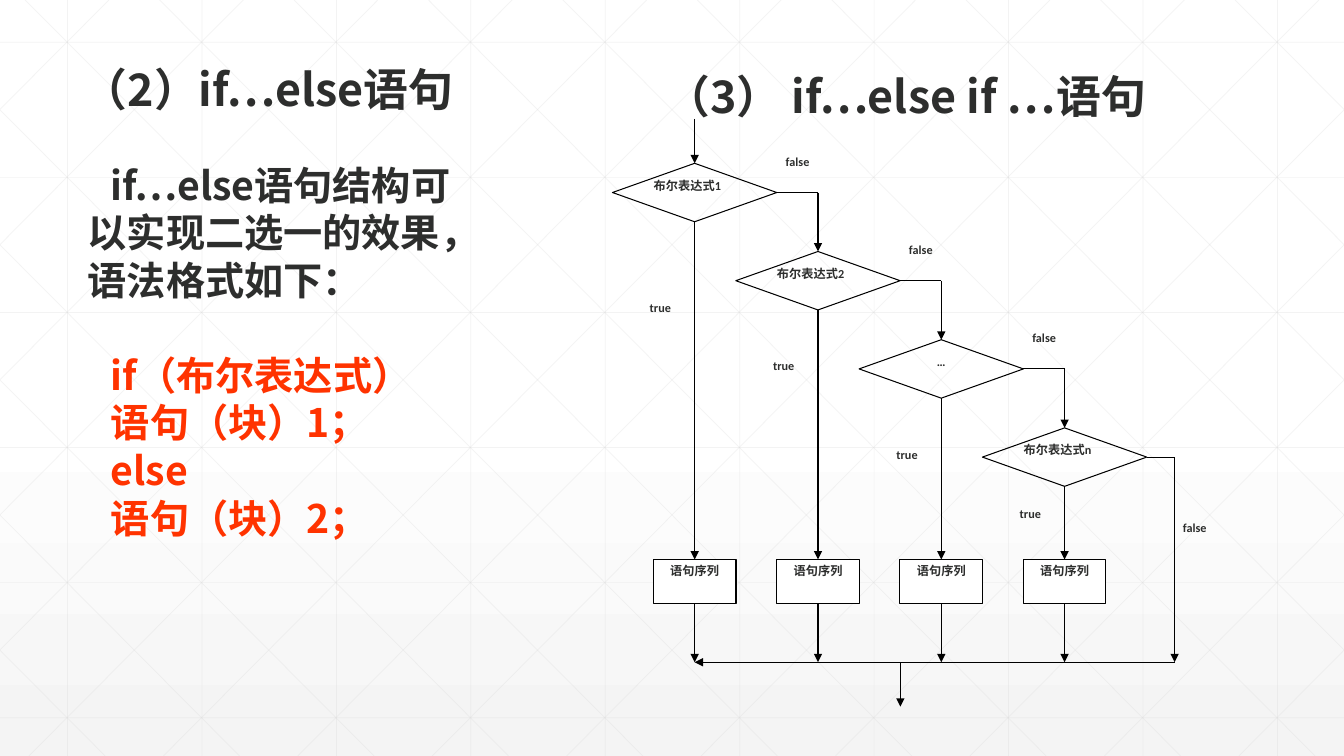
import pptx
import pptx.util
import pptx.dml.color
import pptx.enum.dml
import pptx.enum.shapes
import pptx.enum.text
import pptx.oxml
import pptx.oxml.ns
from lxml import etree

Inches, Pt = pptx.util.Inches, pptx.util.Pt
RGBColor = pptx.dml.color.RGBColor
ALIGN = pptx.enum.text.PP_ALIGN
ANCHOR = pptx.enum.text.MSO_ANCHOR
SHAPE = pptx.enum.shapes.MSO_SHAPE
qn = pptx.oxml.ns.qn

WHITE = RGBColor(0xFF, 0xFF, 0xFF)
PALE_GREY = RGBColor(0xF4, 0xF4, 0xF4)
GRID_GREY = RGBColor(0xD9, 0xD9, 0xD9)
BLACK = RGBColor(0x00, 0x00, 0x00)
INK = RGBColor(0x2D, 0x2E, 0x2D)
RED = RGBColor(0xFF, 0x33, 0x00)
CJK_FONT = "Noto Sans CJK SC"
WIDTH, HEIGHT = 13.33, 7.5


def add_line(start, end, color=BLACK, width=0.75, arrow=False, opacity=None):
    """Draw a straight line between two points given in inches."""
    line = slide.shapes.add_connector(
        pptx.enum.shapes.MSO_CONNECTOR.STRAIGHT,
        Inches(start[0]), Inches(start[1]), Inches(end[0]), Inches(end[1]))
    line.line.color.rgb = color
    line.line.width = Pt(width)
    outline = line.line._get_or_add_ln()
    if opacity:
        tint = outline.find(".//" + qn("a:srgbClr"))
        etree.SubElement(tint, qn("a:alpha")).set("val", str(opacity * 1000))
    if arrow:
        etree.SubElement(outline, qn("a:tailEnd")).set("type", "triangle")
    etree.SubElement(line._element.spPr, qn("a:effectLst"))


def write_text(box, lines, size, font=CJK_FONT, align=ALIGN.LEFT,
               anchor=ANCHOR.TOP, margins=(0.09, 0.04), left=0, indent=0):
    """Fill a shape with (text, colour) paragraphs in bold."""
    frame = box.text_frame
    frame.word_wrap = True
    frame.auto_size = pptx.enum.text.MSO_AUTO_SIZE.NONE
    frame.vertical_anchor = anchor
    frame.margin_left = frame.margin_right = Inches(margins[0])
    frame.margin_top = frame.margin_bottom = Inches(margins[1])
    for number, (text, color) in enumerate(lines):
        para = frame.add_paragraph() if number else frame.paragraphs[0]
        properties = para._p.get_or_add_pPr()
        properties.set("marL", str(Inches(left)))
        properties.set("indent", str(Inches(indent)))
        etree.SubElement(properties, qn("a:buNone"))
        para.alignment = align
        para.space_before = Pt(0)
        span = para.add_run()
        span.text = text
        span.font.name = font
        span.font.size = Pt(size)
        span.font.bold = True
        span.font.color.rgb = color
        east_asian = etree.SubElement(span._r.get_or_add_rPr(), qn("a:ea"))
        east_asian.set("typeface", CJK_FONT)


deck = pptx.Presentation()
deck.slide_width, deck.slide_height = Inches(WIDTH), Inches(HEIGHT)
slide = deck.slides.add_slide(deck.slide_layouts[1])

# Background gradient
backdrop = slide.background.fill
backdrop.gradient()
backdrop.gradient_angle = 270
for stop, color, position in zip(backdrop.gradient_stops, (WHITE, PALE_GREY), (0.53, 1)):
    stop.color.rgb = color
    stop.position = position

# Faint background grid: verticals, horizontals, mirrored diagonals
PITCH = 4 / 3
RUN = 7.46
grid = [((0.67 + PITCH * i, 0), (0.67 + PITCH * i, HEIGHT)) for i in range(10)]
grid += [((0, 0.42 + 1.34 * i), (WIDTH, 0.42 + 1.34 * i)) for i in range(6)]
for i in range(-5, 10):
    top_x = 0.25 + PITCH * i
    start_x, end_x = max(top_x, 0), min(top_x + RUN, WIDTH)
    start_y, end_y = [(x - top_x) * HEIGHT / RUN for x in (start_x, end_x)]
    grid.append(((start_x, start_y), (end_x, end_y)))
    grid.append(((WIDTH - start_x, start_y), (WIDTH - end_x, end_y)))
for start, end in grid:
    add_line(start, end, GRID_GREY, 0.5, opacity=30)

# Headings and syntax text, placed above the grid
title, body = slide.shapes.title, slide.placeholders[1]
for placeholder, (x, y, w, h) in ((title, (0.34, 0.61, 4.81, 0.53)),
                                  (body, (0.78, 1.55, 3.9, 4.33))):
    placeholder.left, placeholder.top = Inches(x), Inches(y)
    placeholder.width, placeholder.height = Inches(w), Inches(h)
    slide.shapes._spTree.append(placeholder._element)
write_text(title, [("（2）if…else语句", INK)], 32, anchor=ANCHOR.MIDDLE, indent=0.39)
write_text(body, [("if…else语句结构可以实现二选一的效果，语法格式如下：", INK),
                  ("if（布尔表达式）", RED), ("语句（块）1；", RED),
                  ("else", RED), ("语句（块）2；", RED)], 28, indent=0.23)
for para in body.text_frame.paragraphs:
    para.line_spacing = Pt(34)
body.text_frame.paragraphs[1].space_before = Pt(34)

heading = slide.shapes.add_textbox(Inches(5.88), Inches(0.62), Inches(6.81), Inches(0.66))
write_text(heading, [("（3） if…else if …语句", INK)], 32, anchor=ANCHOR.MIDDLE,
           left=0.32, indent=0.31)

# Flowchart: one diamond and one statement box per branch
FIRST_AXIS, AXIS_STEP = 6.89, 1.223
FIRST_TOP, TOP_STEP = 1.62, 0.875
DIAMOND_W, DIAMOND_H = 1.63, 0.58
BOX_W, BOX_H, BOX_TOP = 0.82, 0.44, 5.55
MERGE_Y, EXIT_X = 6.57, 11.65
conditions = ["布尔表达式1", "布尔表达式2", "…", "布尔表达式n"]
true_tops = [2.93, 3.51, 4.39, 4.97]
labels = [("false", 11.51, 5.11)]

add_line((FIRST_AXIS, 1.18), (FIRST_AXIS, FIRST_TOP), arrow=True)
for i, (condition, true_top) in enumerate(zip(conditions, true_tops)):
    axis = FIRST_AXIS + AXIS_STEP * i
    top = FIRST_TOP + TOP_STEP * i
    middle = top + DIAMOND_H / 2
    is_last = i == len(conditions) - 1

    diamond = slide.shapes.add_shape(
        SHAPE.DIAMOND, Inches(axis - DIAMOND_W / 2), Inches(top),
        Inches(DIAMOND_W), Inches(DIAMOND_H))
    diamond.fill.background()
    write_text(diamond, [(condition, INK)], 8.7, "Calibri", margins=(0, 0),
               align=ALIGN.CENTER if condition == "…" else ALIGN.LEFT)
    statement = slide.shapes.add_shape(
        SHAPE.RECTANGLE, Inches(axis - BOX_W / 2), Inches(BOX_TOP),
        Inches(BOX_W), Inches(BOX_H))
    statement.fill.solid()
    statement.fill.fore_color.rgb = WHITE
    write_text(statement, [("语句序列", INK)], 8.7, "Calibri", ALIGN.CENTER)
    for shape in (diamond, statement):
        shape.shadow.inherit = False
        shape.line.color.rgb = BLACK
        shape.line.width = Pt(0.75)

    add_line((axis, top + DIAMOND_H), (axis, BOX_TOP), arrow=True)
    add_line((axis, BOX_TOP + BOX_H), (axis, MERGE_Y), arrow=True)
    turn_x = EXIT_X if is_last else axis + AXIS_STEP
    turn_end = MERGE_Y if is_last else top + TOP_STEP
    add_line((axis + DIAMOND_W / 2, middle), (turn_x, middle))
    add_line((turn_x, middle), (turn_x, turn_end), arrow=True)

    labels.append(("true", axis - 0.68, true_top))
    if not is_last:
        labels.append(("false", axis + 0.68, top - 0.14))

add_line((EXIT_X, MERGE_Y), (FIRST_AXIS, MERGE_Y), arrow=True)
add_line((8.93, MERGE_Y), (8.93, 7.01), arrow=True)
for text, x, y in labels:
    label = slide.shapes.add_textbox(Inches(x), Inches(y), Inches(0.68), Inches(0.44))
    write_text(label, [(text, INK)], 8.7, "Calibri", ALIGN.CENTER, margins=(0.1, 0.05))

deck.save("out.pptx")
